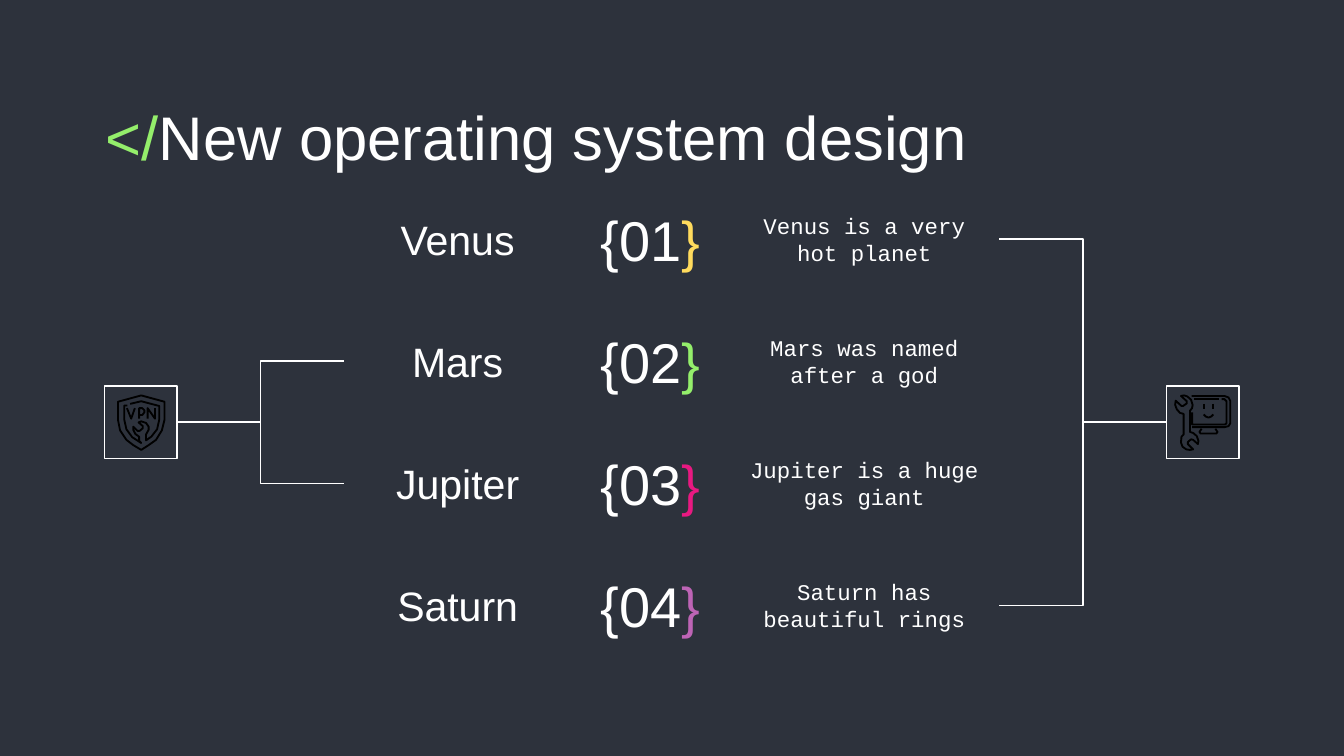
import lxml.etree
import pptx
import pptx.dml.color
import pptx.enum.shapes
import pptx.enum.text
import pptx.oxml.ns
import pptx.util

Cm = pptx.util.Cm
Pt = pptx.util.Pt

THEME = {
    "background": "2D323C", "text": "FFFFFF", "accent": "94EE6B", "icon": "000000",
    "heading_font": "Arial", "body_font": "Courier New",
    "title_size": 33, "number_size": 30, "name_size": 22, "body_size": 12,
    "rule": 0.75, "icon_rule": 1,
}

TITLE = ("</", "New operating system design")
PLANETS = [
    ("Venus", "Venus is a very hot planet", "FFDB5D"),
    ("Mars", "Mars was named after a god", "94EE6B"),
    ("Jupiter", "Jupiter is a huge gas giant", "E81981"),
    ("Saturn", "Saturn has beautiful rings", "BD64B5"),
]

SHIELD = [
    ([(69, 18), (113, 30), (113, 64), (108, 84), (97, 102), (83, 112), (69, 121),
      (54, 112), (41, 102), (29, 84), (25, 64), (25, 30)], True),
    ([(43, 37), (37, 37), (37, 64), (41, 82), (52, 97), (69, 108), (65, 104),
      (65, 96), (58, 91), (54, 83), (54, 77), (62, 85), (66, 85), (72, 80),
      (72, 76), (64, 69), (69, 67), (78, 70), (83, 77), (83, 83), (78, 92),
      (78, 103), (88, 96), (99, 82), (103, 64), (103, 38), (69, 29), (48, 34)], False),
    ([(42, 42), (50, 62), (57, 42)], False),
    ([(65, 62), (65, 42), (71, 42), (75, 46), (75, 50), (71, 55), (65, 55)], False),
    ([(81, 62), (81, 42), (95, 62), (95, 42)], False),
]
COMPUTER = [
    ([(47, 19), (109, 19), (117, 22), (120, 28), (120, 71), (117, 76),
      (109, 78), (48, 78)], False),
    ([(52, 25), (98, 25)], False),
    ([(104, 25), (109, 25), (113, 29), (113, 71), (110, 73), (48, 73), (48, 50)], False),
    ([(66, 81), (62, 87), (64, 90), (94, 90), (96, 87), (92, 81)], False),
    ([(70, 34), (70, 44)], False),
    ([(88, 34), (88, 44)], False),
    ([(70, 54), (74, 58), (79, 60), (84, 58), (88, 54)], False),
    ([(27, 19), (38, 29), (38, 33), (31, 38), (28, 38), (17, 28), (16, 36),
      (19, 44), (25, 51), (32, 53), (32, 92), (28, 96), (27, 107), (30, 115),
      (37, 120), (44, 121), (50, 120), (40, 110), (40, 106), (46, 101), (50, 102),
      (59, 110), (60, 104), (57, 95), (50, 89), (44, 87), (44, 47), (48, 42),
      (49, 36), (46, 26), (39, 20), (33, 18)], True),
]

ROW_TOP, ROW_STEP, ROW_HEIGHT = 3.88, 2.31, 1.27
NAME_LEFT, NUMBER_LEFT, FACT_LEFT, FACT_RIGHT = 6.5, 10.8, 13.78, 18.89
FRAME_SIZE, SHIELD_LEFT, COMPUTER_LEFT = 1.37, 1.98, 22.05
ROW_CENTERS = [ROW_TOP + i * ROW_STEP + ROW_HEIGHT / 2 for i in range(len(PLANETS))]
MIDDLE = sum(ROW_CENTERS) / len(ROW_CENTERS)


def rgb(value):
    return pptx.dml.color.RGBColor.from_string(value)


def write(holder, runs, font, size, align="CENTER", anchor="MIDDLE",
          insets=(0.25, 0.25, 0.25, 0.25)):
    frame = holder.text_frame
    frame.word_wrap = True
    frame.auto_size = pptx.enum.text.MSO_AUTO_SIZE.NONE
    frame.vertical_anchor = pptx.enum.text.MSO_ANCHOR[anchor]
    (frame.margin_left, frame.margin_top,
     frame.margin_right, frame.margin_bottom) = map(Cm, insets)
    paragraph = frame.paragraphs[0]
    paragraph.alignment = pptx.enum.text.PP_ALIGN[align]
    for text, color in runs:
        run = paragraph.add_run()
        run.text = text
        run.font.name = font
        run.font.size = Pt(size)
        run.font.color.rgb = rgb(color)


def outline(part, color, width):
    part.line.color.rgb = rgb(color)
    part.line.width = Pt(width)


def add_row(slide, top, number, name, fact, brace_color):
    row = slide.shapes.add_group_shape()
    white = THEME["text"]
    cells = [
        (NAME_LEFT, NUMBER_LEFT, [(name, white)], "heading_font", "name_size"),
        (FACT_LEFT, FACT_RIGHT, [(fact, white)], "body_font", "body_size"),
        (NUMBER_LEFT, FACT_LEFT, [(f"{{{number:02d}", white), ("}", brace_color)],
         "heading_font", "number_size"),
    ]
    for left, right, runs, font, size in cells:
        cell = row.shapes.add_textbox(Cm(left), Cm(top), Cm(right - left), Cm(ROW_HEIGHT))
        write(cell, runs, THEME[font], THEME[size])


def add_icon(slide, left, strokes):
    top = MIDDLE - FRAME_SIZE / 2
    frame = slide.shapes.add_shape(pptx.enum.shapes.MSO_SHAPE.RECTANGLE, Cm(left), Cm(top),
                                   Cm(FRAME_SIZE), Cm(FRAME_SIZE))
    frame.shadow.inherit = False
    frame.fill.background()
    outline(frame, THEME["text"], THEME["rule"])
    icon = slide.shapes.add_group_shape()
    for points, closed in strokes:
        builder = icon.shapes.build_freeform(*points[0], scale=Cm(0.01))
        builder.add_line_segments(points[1:], close=closed)
        stroke = builder.convert_to_shape(Cm(left), Cm(top))
        stroke.shadow.inherit = False
        stroke.fill.background()
        outline(stroke, THEME["icon"], THEME["icon_rule"])


def connect(slide, start, end):
    bracket = slide.shapes.add_connector(pptx.enum.shapes.MSO_CONNECTOR.ELBOW,
                                         *map(Cm, start + end))
    outline(bracket, THEME["text"], THEME["rule"])
    lxml.etree.SubElement(bracket._element.spPr, pptx.oxml.ns.qn("a:effectLst"))


def main():
    deck = pptx.Presentation()
    deck.slide_width, deck.slide_height = Cm(25.4), Cm(14.29)
    slide = deck.slides.add_slide(deck.slide_layouts[5])
    slide.background.fill.solid()
    slide.background.fill.fore_color.rgb = rgb(THEME["background"])

    title = slide.shapes.title
    title.left, title.top, title.width, title.height = map(Cm, (2, 1.5, 21.4, 1.6))
    write(title, list(zip(TITLE, (THEME["accent"], THEME["text"]))), THEME["heading_font"],
          THEME["title_size"], align="LEFT", anchor="TOP", insets=(0, 0.37, 0, 0))

    add_icon(slide, SHIELD_LEFT, SHIELD)
    add_icon(slide, COMPUTER_LEFT, COMPUTER)
    for i, planet in enumerate(PLANETS):
        add_row(slide, ROW_TOP + i * ROW_STEP, i + 1, *planet)
    for center in ROW_CENTERS[1:3]:
        connect(slide, (SHIELD_LEFT + FRAME_SIZE, MIDDLE), (NAME_LEFT, center))
    for center in (ROW_CENTERS[0], ROW_CENTERS[-1]):
        connect(slide, (FACT_RIGHT, center), (COMPUTER_LEFT, MIDDLE))

    deck.save("out.pptx")


if __name__ == "__main__":
    main()
